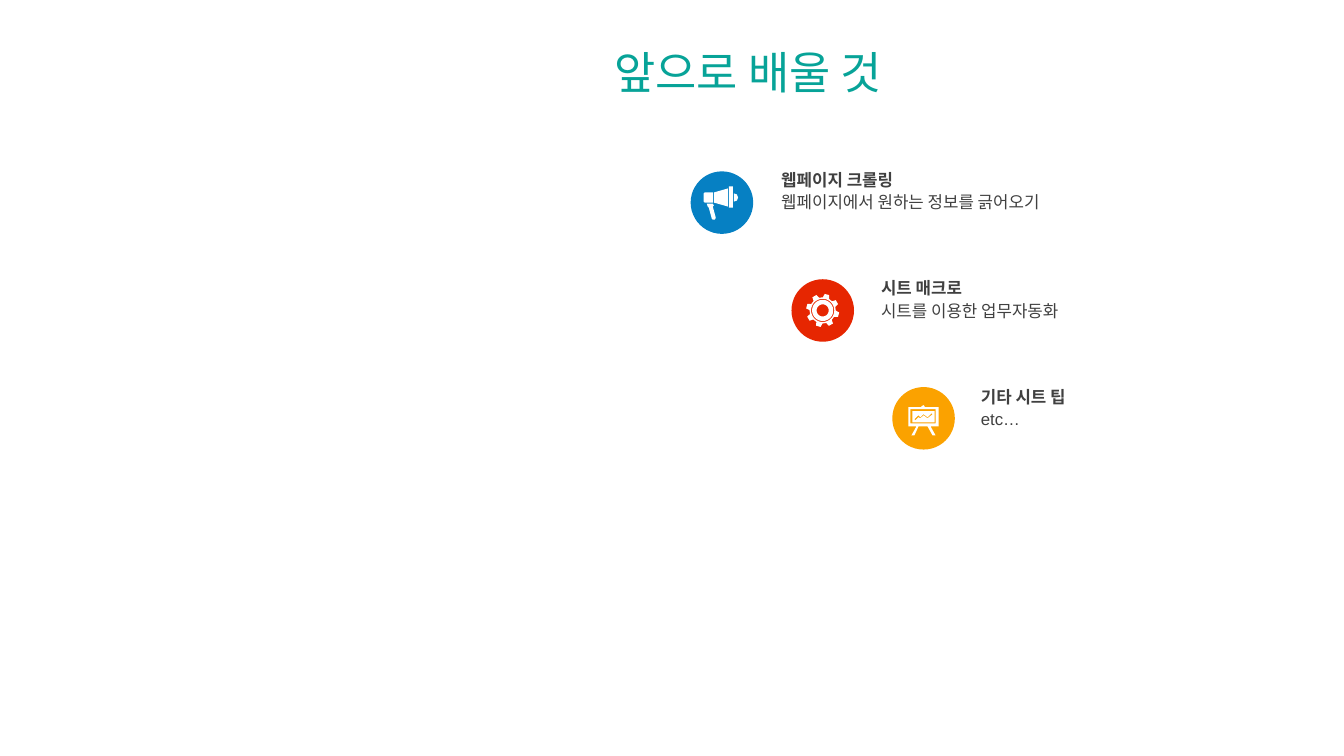
"""Build the slide that lists the upcoming course topics."""
from math import cos, radians, sin

from pptx import Presentation
from pptx.dml.color import RGBColor
from pptx.enum.shapes import MSO_SHAPE
from pptx.enum.text import MSO_ANCHOR, MSO_AUTO_SIZE, PP_ALIGN
from pptx.util import Pt

PX = 9144
WHITE = "FFFFFF"
TITLE_COLOR = "07A398"
TEXT_COLOR = "404040"


def paint(shape, color):
    """Give a shape a plain fill with no line or shadow."""
    shape.fill.solid()
    shape.fill.fore_color.rgb = RGBColor.from_string(color)
    shape.line.fill.background()
    shape.shadow.inherit = False


def write(shape, text, size, color, bold=False):
    """Write one line of text into a shape that grows with it."""
    frame = shape.text_frame
    frame.word_wrap = True
    frame.auto_size = MSO_AUTO_SIZE.SHAPE_TO_FIT_TEXT
    run = frame.paragraphs[0].add_run()
    run.text = text
    run.font.name = "Arial"
    run.font.size = Pt(size)
    run.font.bold = bold
    run.font.color.rgb = RGBColor.from_string(color)


presentation = Presentation()
presentation.slide_width = 1333 * PX
presentation.slide_height = 750 * PX
slide = presentation.slides.add_slide(presentation.slide_layouts[5])

title = slide.shapes.title
title.left, title.top, title.width, title.height = 365 * PX, 39 * PX, 520 * PX, 64 * PX
write(title, "앞으로 배울 것", 32, TITLE_COLOR)
title.text_frame.vertical_anchor = MSO_ANCHOR.MIDDLE
title.text_frame.paragraphs[0].alignment = PP_ALIGN.RIGHT

megaphone = [
    [(701, 202), (707, 202), (708, 204), (707, 205), (710, 216), (709, 218),
     (707, 218), (706, 217), (703, 206), (702, 205)],
    [(728, 192), (731, 193), (732, 196), (731, 199), (728, 200)],
    [(699, 191), (707, 191), (707, 201), (699, 201), (698, 200), (698, 192)],
    [(722, 187), (722, 205), (708, 201), (708, 191)],
    [(723, 185), (727, 185), (727, 206), (723, 206)],
]

gear_x, gear_y = 816, 308
teeth = [
    (tooth * 45 - 75 + offset, radius)
    for tooth in range(8)
    for offset, radius in ((-14, 13), (-8, 16.5), (8, 16.5), (14, 13))
]
rings = [[(angle, radius) for angle in range(0, 360, 6)] for radius in (11.5, 10.5, 6)]
gear = [
    [(gear_x + radius * cos(radians(angle)), gear_y + radius * sin(radians(angle)))
     for angle, radius in outline]
    for outline in [teeth] + rings
]

board = [
    [(914, 404), (914, 403), (916, 402), (917, 403), (917, 404), (931, 404),
     (931, 423), (923, 423), (928, 432), (925, 432), (920, 423), (911, 423),
     (907, 432), (904, 432), (909, 423), (901, 423), (901, 404)],
    [(903, 406), (928, 406), (928, 420), (903, 420)],
    [(905, 408), (927, 408), (927, 419), (905, 419)],
    [(907, 416), (911, 412), (913, 414), (916, 411), (920, 414), (924, 410),
     (925, 411), (920, 415), (916, 412), (913, 415), (911, 414), (908, 417)],
]

topics = [
    ("웹페이지 크롤링", "웹페이지에서 원하는 정보를 긁어오기", "0680C3", megaphone),
    ("시트 매크로", "시트를 이용한 업무자동화", "E62601", gear),
    ("기타 시트 팁", "etc…", "FBA200", board),
]

for index, (heading, detail, color, icon) in enumerate(topics):
    circle = slide.shapes.add_shape(
        MSO_SHAPE.OVAL, (685 + 100 * index) * PX, (170 + 107 * index) * PX, 62 * PX, 62 * PX)
    paint(circle, color)

    builder = slide.shapes.build_freeform(icon[0][0][0] * PX, icon[0][0][1] * PX)
    for number, outline in enumerate(icon):
        points = [(x * PX, y * PX) for x, y in outline]
        if number:
            builder.move_to(*points[0])
        builder.add_line_segments(points[1:], close=True)
    paint(builder.convert_to_shape(), WHITE)

    group = slide.shapes.add_group_shape()
    for row, text in enumerate((heading, detail)):
        box = group.shapes.add_textbox(
            (765 + 99 * index) * PX, (163 + 108 * index + 22 * row) * PX, 326 * PX, 30 * PX)
        write(box, text, 12, TEXT_COLOR, bold=row == 0)

presentation.save("out.pptx")
